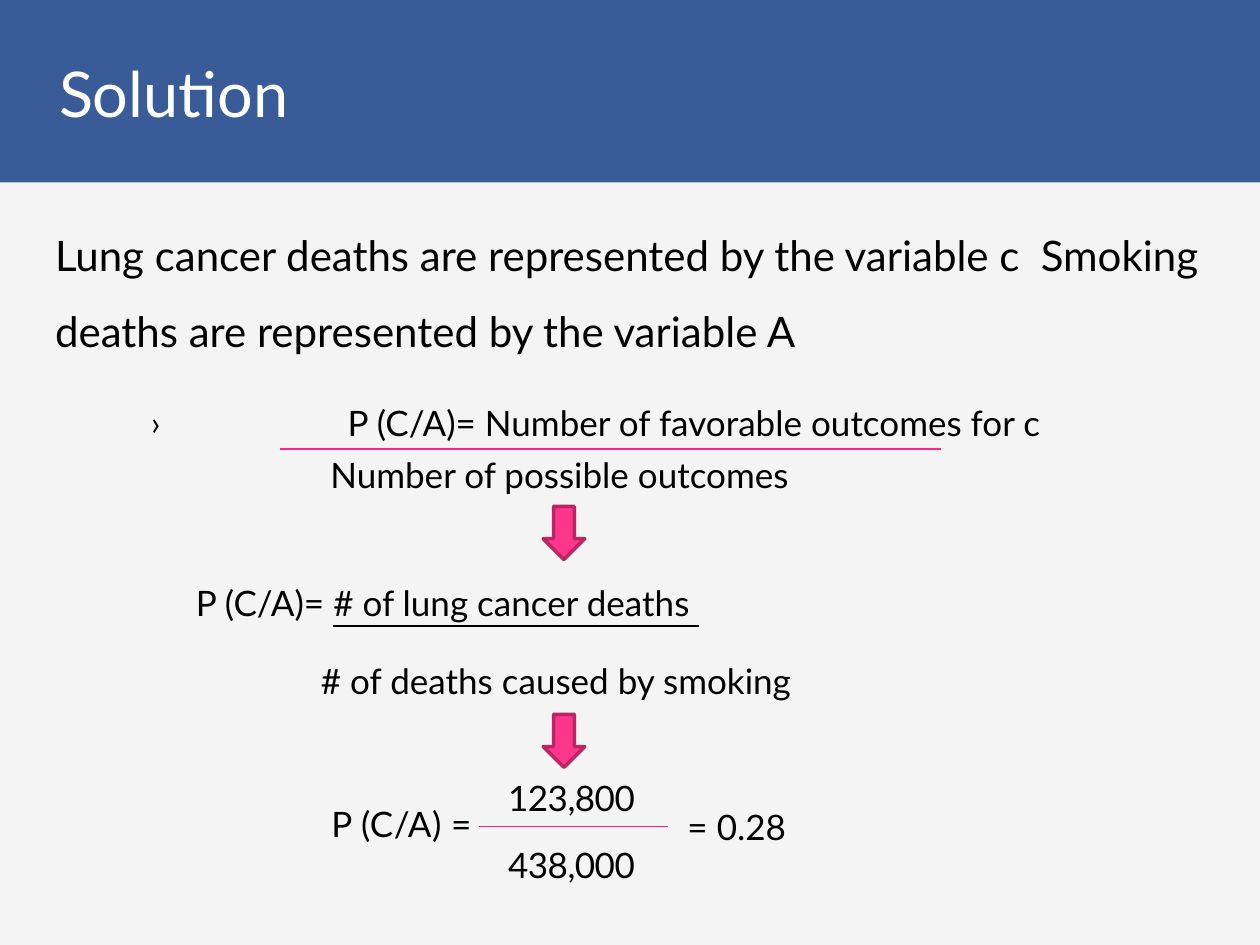
from lxml import etree
from pptx import Presentation
from pptx.dml.color import RGBColor
from pptx.enum.shapes import MSO_CONNECTOR, MSO_SHAPE
from pptx.enum.text import MSO_ANCHOR, MSO_AUTO_SIZE, PP_ALIGN
from pptx.oxml.ns import qn
from pptx.util import Cm, Pt

LEFT, CENTER = PP_ALIGN.LEFT, PP_ALIGN.CENTER
TOP, MIDDLE = MSO_ANCHOR.TOP, MSO_ANCHOR.MIDDLE

THEME = {
    "font": "Lato",
    "background": "F4F4F5", "band": "395B98", "title": "FFFFFF", "text": "000000",
    "rule": "FF2388", "arrow": "FF378B", "arrow_edge": "BB2564",
    "title_size": 36, "statement_size": 24, "formula_size": 20,
}

TITLE = "Solution"
STATEMENT = ("Lung cancer deaths are represented by the variable c  "
             "Smoking deaths are represented by the variable A")
# Runs (text, underlined), left indent in cm, space before in pt, bullet
FORMULAS = [
    ([("P (C/A)= Number of favorable outcomes for c", False)], 4.01, 0, "›"),
    ([("Number of possible outcomes", False)], 3.66, 1, None),
    ([("P (C/A)= ", False), ("# of lung cancer deaths ", True)], 0.95, 44.3, None),
    ([("# of deaths caused by smoking", False)], 3.47, 15.8, None),
]
# Text, box in cm, alignment, letter spacing in pt
RESULT_PARTS = [
    ("P (C/A) =", (6.68, 16.15, 3.05, 0.91), LEFT, 0.2),
    ("123,800", (9.88, 15.62, 3.28, 0.91), CENTER, -0.3),
    ("438,000", (9.88, 16.97, 3.28, 0.91), CENTER, -0.3),
    ("= 0.28", (13.86, 16.2, 2.06, 0.91), LEFT, 0),
]
FRACTION_RULES = [(5.64, 9.05, 13.33), (9.65, 16.66, 3.81)]  # left, top, width
ARROW_LEFT, ARROW_TOPS, ARROW_SIZE = 10.95, (10.21, 14.4), (0.84, 1.07)


def color(role):
    return RGBColor.from_string(THEME[role])


def place(shape, box):
    shape.left, shape.top, shape.width, shape.height = map(Cm, box)


def prepare_frame(shape, anchor=TOP, inset=0):
    frame = shape.text_frame
    frame.word_wrap = True
    frame.auto_size = MSO_AUTO_SIZE.NONE
    frame.vertical_anchor = anchor
    frame.margin_left = frame.margin_right = Cm(inset)
    frame.margin_top = Cm(0.03)
    frame.margin_bottom = 0
    return frame


def write(paragraph, runs, size="formula_size", role="text", align=LEFT,
          line=1.0, before=0, indent=0, bullet=None, tracking=0):
    """Fill a paragraph with (text, underlined) runs."""
    properties = paragraph._p.get_or_add_pPr()
    properties.set("marL", str(Cm(indent)))
    properties.set("indent", str(Cm(-3.96) if bullet else 0))
    paragraph.alignment = align
    paragraph.line_spacing = line
    paragraph.space_before = Pt(before)
    if bullet:
        etree.SubElement(properties, qn("a:buSzPct")).set("val", "95000")
        etree.SubElement(properties, qn("a:buFont")).set("typeface", THEME["font"])
        etree.SubElement(properties, qn("a:buChar")).set("char", bullet)
    else:
        etree.SubElement(properties, qn("a:buNone"))
    for text, underlined in runs:
        run = paragraph.add_run()
        run.text = text
        run.font.name = THEME["font"]
        run.font.size = Pt(THEME[size])
        run.font.color.rgb = color(role)
        if underlined:
            run.font.underline = True
        if tracking:
            run._r.get_or_add_rPr().set("spc", str(round(tracking * 100)))


def add_rule(shapes, left, top, width):
    rule = shapes.add_connector(MSO_CONNECTOR.STRAIGHT, Cm(left), Cm(top),
                                Cm(left + width), Cm(top))
    rule.line.color.rgb = color("rule")
    rule.line.width = Pt(0.75)
    etree.SubElement(rule._element.spPr, qn("a:effectLst"))


def add_filled(shapes, preset, box, role):
    shape = shapes.add_shape(preset, *map(Cm, box))
    shape.shadow.inherit = False
    shape.fill.solid()
    shape.fill.fore_color.rgb = color(role)
    return shape


def main():
    presentation = Presentation()
    presentation.slide_width, presentation.slide_height = Cm(25.4), Cm(19.05)
    slide = presentation.slides.add_slide(presentation.slide_layouts[1])
    slide.background.fill.solid()
    slide.background.fill.fore_color.rgb = color("background")
    shapes = slide.shapes

    band = add_filled(shapes, MSO_SHAPE.RECTANGLE, (0, 0, 25.4, 3.68), "band")
    band.line.fill.background()
    shapes._spTree.insert(2, band._element)  # behind the title

    place(shapes.title, (0.94, 0, 22.71, 3.68))
    write(prepare_frame(shapes.title, MIDDLE, 0.25).paragraphs[0],
          [(TITLE, False)], size="title_size", role="title")

    statement = slide.placeholders[1]
    place(statement, (1.11, 4.09, 23.5, 2.9))
    write(prepare_frame(statement).paragraphs[0], [(STATEMENT, False)],
          size="statement_size", line=1.5)

    formulas = prepare_frame(shapes.add_textbox(*map(Cm, (3, 7.9, 19.69, 6.35))))
    for number, (runs, indent, before, bullet) in enumerate(FORMULAS):
        paragraph = formulas.add_paragraph() if number else formulas.paragraphs[0]
        write(paragraph, runs, line=1.2, before=before, indent=indent, bullet=bullet)

    for top in ARROW_TOPS:
        arrow = add_filled(shapes, MSO_SHAPE.DOWN_ARROW,
                           (ARROW_LEFT, top, *ARROW_SIZE), "arrow")
        arrow.line.color.rgb = color("arrow_edge")
        arrow.line.width = Pt(2)

    for text, box, align, tracking in RESULT_PARTS:
        part = prepare_frame(shapes.add_textbox(*map(Cm, box)))
        write(part.paragraphs[0], [(text, False)], align=align, tracking=tracking)

    for rule in FRACTION_RULES:
        add_rule(shapes, *rule)

    presentation.save("out.pptx")


if __name__ == "__main__":
    main()
